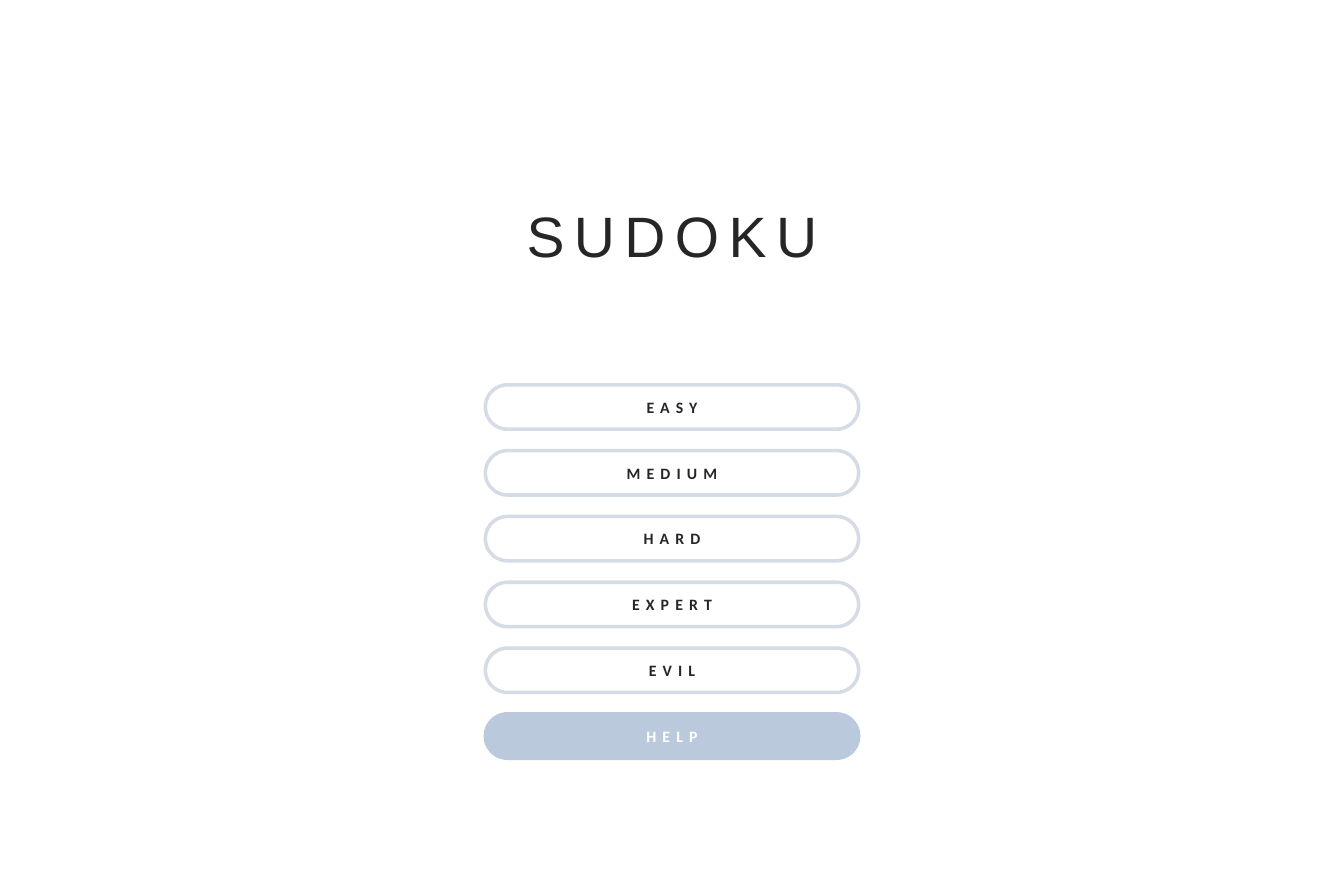
from pptx import Presentation
from pptx.dml.color import RGBColor
from pptx.enum.shapes import MSO_SHAPE
from pptx.enum.text import MSO_ANCHOR, MSO_AUTO_SIZE, PP_ALIGN
from pptx.util import Inches, Pt

TITLE_LAYOUT = 0
ROUNDED = MSO_SHAPE.ROUNDED_RECTANGLE
CENTER = PP_ALIGN.CENTER
MIDDLE = MSO_ANCHOR.MIDDLE
BOTTOM = MSO_ANCHOR.BOTTOM
NO_AUTOFIT = MSO_AUTO_SIZE.NONE

SLIDE_WIDTH = 11.81
SLIDE_HEIGHT = 7.87
INK = "262626"
WHITE = "FFFFFF"
OUTLINE = "D6DCE5"
HELP_BLUE = "BBC9DD"
LEVELS = ["EASY", "MEDIUM", "HARD", "EXPERT", "EVIL"]
MENU_WIDTH = 3.28
BUTTON_HEIGHT = 0.39


def color(hex_value):
    return RGBColor.from_string(hex_value)


def add_spaced_run(paragraph, text, font_name, size, hex_value, spacing, bold=False):
    paragraph.alignment = CENTER
    run = paragraph.add_run()
    run.text = text
    run.font.name = font_name
    run.font.size = Pt(size)
    run.font.bold = bold
    run.font.color.rgb = color(hex_value)
    run.font._element.set("spc", str(round(spacing * 100)))


def place_title(slide, left, top, width, height):
    title = slide.shapes.title
    title.left, title.top = Inches(left), Inches(top)
    title.width, title.height = Inches(width), Inches(height)
    frame = title.text_frame
    frame.auto_size = NO_AUTOFIT
    frame.word_wrap = True
    frame.vertical_anchor = BOTTOM
    paragraph = frame.paragraphs[0]
    paragraph.line_spacing = 0.9
    add_spaced_run(paragraph, "SUDOKU", "Arial", 36, INK, 6)


def add_button(slide, label, left, top, width, line_color, text_color, fill_color=None):
    button = slide.shapes.add_shape(
        ROUNDED, Inches(left), Inches(top), Inches(width), Inches(BUTTON_HEIGHT)
    )
    button.adjustments[0] = 0.5
    button.shadow.inherit = False
    if fill_color:
        button.fill.solid()
        button.fill.fore_color.rgb = color(fill_color)
    else:
        button.fill.background()
    button.line.color.rgb = color(line_color)
    button.line.width = Pt(2.25)
    frame = button.text_frame
    frame.word_wrap = True
    frame.vertical_anchor = MIDDLE
    add_spaced_run(frame.paragraphs[0], label, "Calibri", 10, text_color, 3.9, bold=True)


def add_menu(slide, left, top, width, height):
    step = (height - BUTTON_HEIGHT) / len(LEVELS)
    for index, level in enumerate(LEVELS):
        add_button(slide, level, left, top + index * step, width, OUTLINE, INK)
    help_top = top + height - BUTTON_HEIGHT
    add_button(slide, "HELP", left, help_top, width, HELP_BLUE, WHITE, HELP_BLUE)


def main():
    presentation = Presentation()
    presentation.slide_width = Inches(SLIDE_WIDTH)
    presentation.slide_height = Inches(SLIDE_HEIGHT)
    slide = presentation.slides.add_slide(presentation.slide_layouts[TITLE_LAYOUT])
    subtitle = slide.placeholders[1]
    subtitle.element.getparent().remove(subtitle.element)
    place_title(slide, 4.4, 1.56, 3.01, 0.86)
    add_menu(slide, (SLIDE_WIDTH - MENU_WIDTH) / 2, 3.38, MENU_WIDTH, 3.28)
    presentation.save("out.pptx")


if __name__ == "__main__":
    main()
